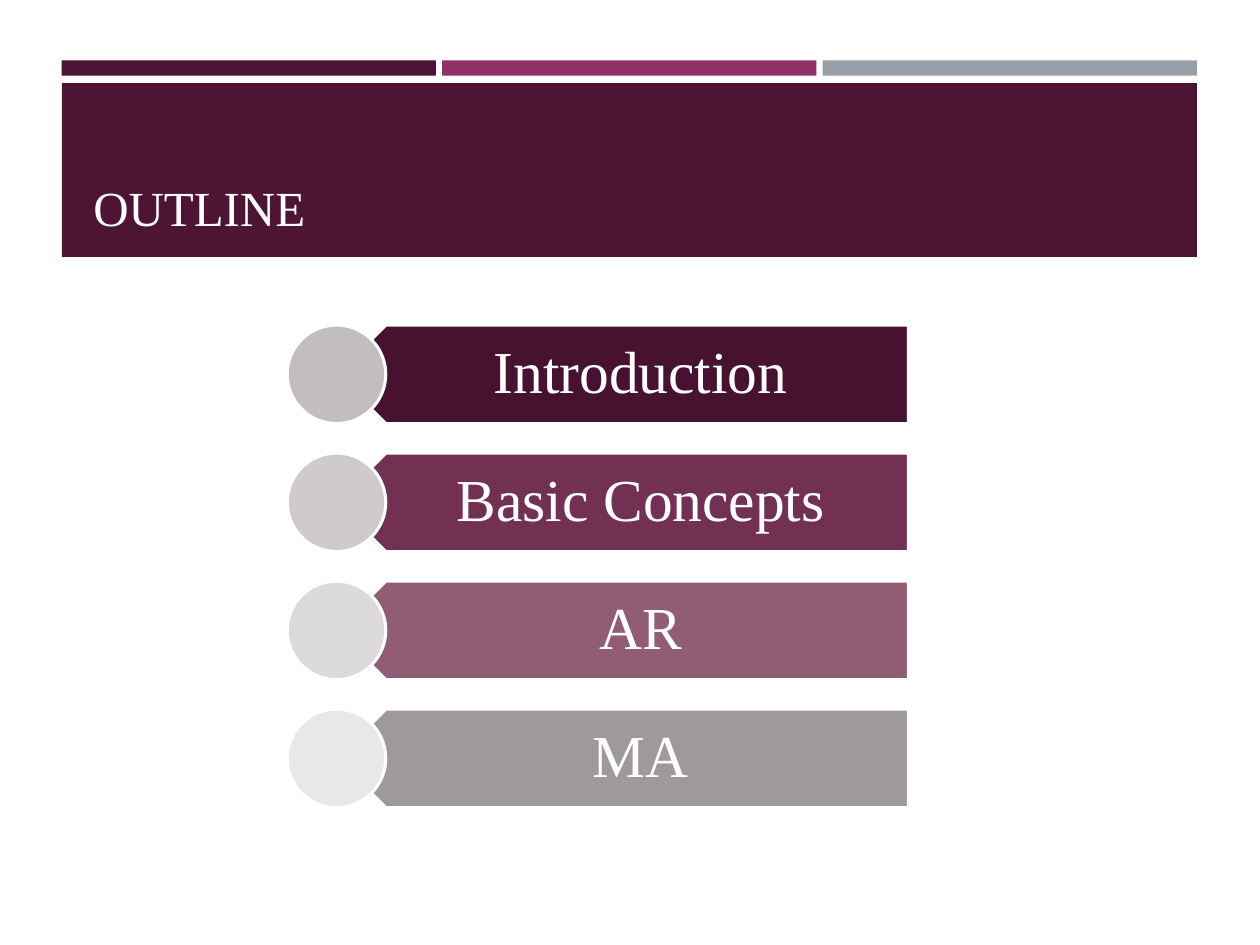
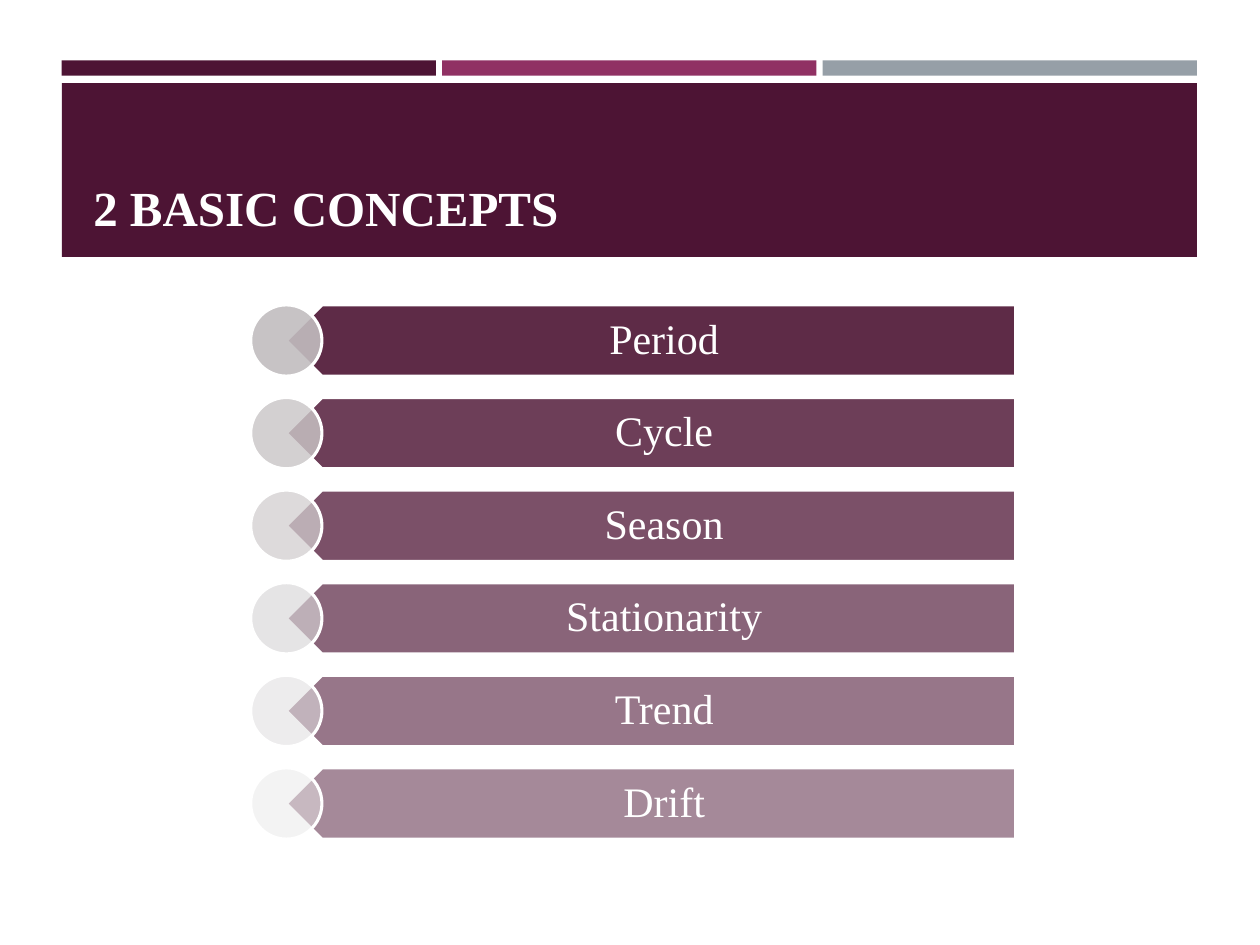
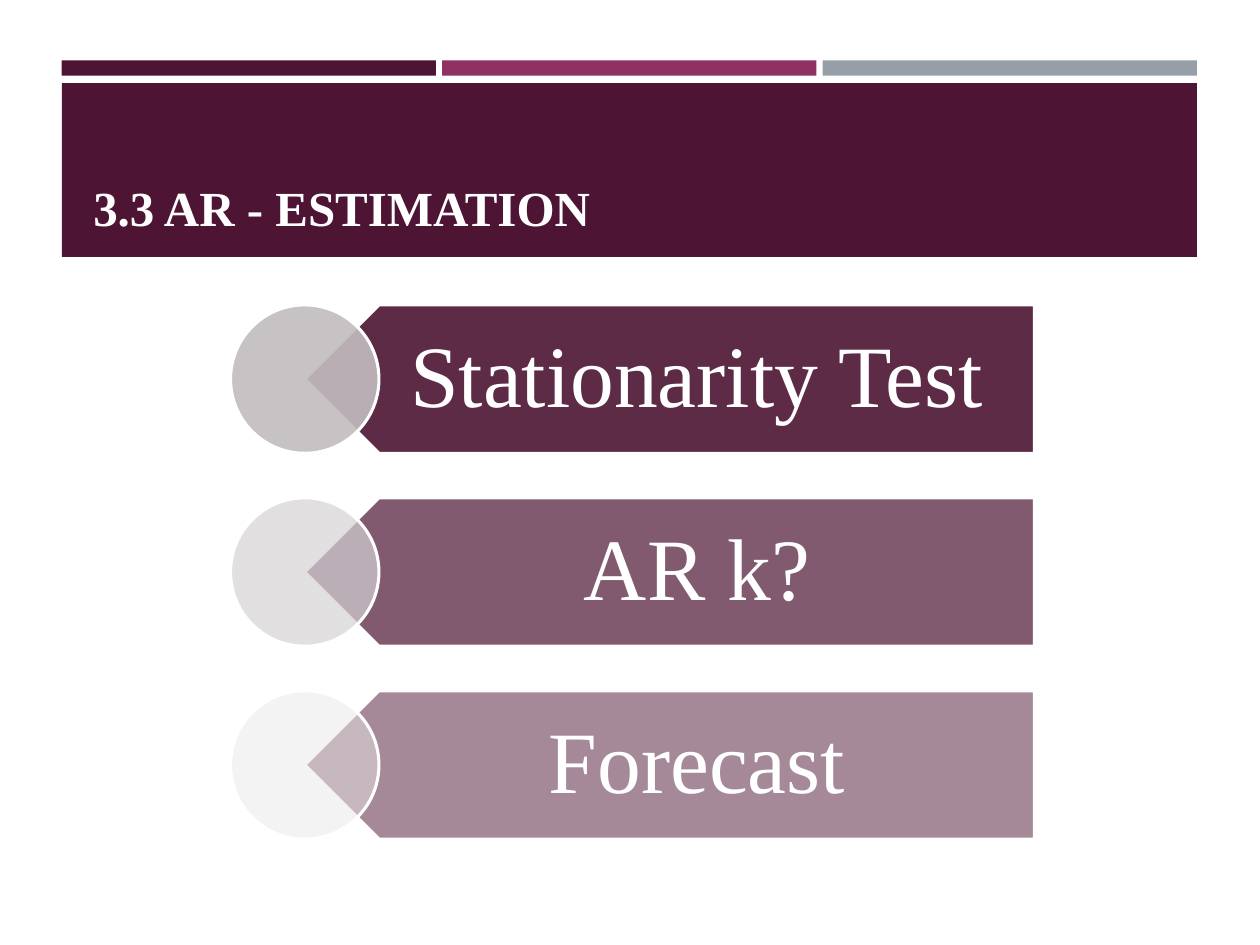
import pptx
import pptx.dml.color
import pptx.enum.shapes
import pptx.enum.text
import pptx.oxml.ns
import pptx.util
from lxml import etree

Inches = pptx.util.Inches
Pt = pptx.util.Pt
Shape = pptx.enum.shapes.MSO_SHAPE
Align = pptx.enum.text.PP_ALIGN
Anchor = pptx.enum.text.MSO_ANCHOR

FONT = "Times New Roman"
COLORS = {
    "plum": "4D1434", "berry": "903163", "slate": "969FA7", "white": "FFFFFF",
    "dark": "46122F", "wine": "723152", "rose": "915D75", "ash": "9F999C",
    "dot_first": "C2BDBF", "dot_last": "E9E8E8",
}
PITCH = 1.3  # row step as a multiple of row height

# title, bold, box, text size, rows, bar colours, first and last opacity
SLIDES = [
    ("OUTLINE", False, (2.28, 2.58, 4.93, 3.83), 34,
     ["Introduction", "Basic Concepts", "AR", "MA"],
     ["dark", "wine", "rose", "ash"], (100, 100)),
    ("2 BASIC CONCEPTS", True, (1.99, 2.42, 6.07, 4.24), 24,
     ["Period", "Cycle", "Season", "Stationarity", "Trend", "Drift"],
     ["plum"] * 6, (90, 50)),
    ("3.3 AR - ESTIMATION", True, (1.83, 2.42, 6.38, 4.24), 50,
     ["Stationarity Test", "AR k?", "Forecast"],
     ["plum"] * 3, (90, 50)),
]


def rgb(code):
    return pptx.dml.color.RGBColor.from_string(code)


def blend(first, last, part):
    """Return the hex colour that lies the given part of the way between two."""
    pairs = [(int(first[i:i + 2], 16), int(last[i:i + 2], 16)) for i in (0, 2, 4)]
    return "".join(f"{round(a + (b - a) * part):02X}" for a, b in pairs)


def add_solid(shapes, kind, box, code, alpha=100, outline=False):
    shape = shapes.add_shape(kind, *map(Inches, box))
    shape.shadow.inherit = False
    shape.fill.solid()
    shape.fill.fore_color.rgb = rgb(code)
    if alpha < 100:
        tag = pptx.oxml.ns.qn("a:srgbClr")
        color = next(shape.fill._xPr.iter(tag))
        etree.SubElement(color, pptx.oxml.ns.qn("a:alpha"), val=str(round(alpha * 1000)))
    if outline:
        shape.line.color.rgb = rgb(COLORS["white"])
        shape.line.width = Pt(1.75)
    else:
        shape.line.fill.background()
    return shape


def style_text(frame, size, align, bold=False):
    para = frame.paragraphs[0]
    para.alignment = align
    para.line_spacing = 0.9
    para.font.name = FONT
    para.font.size = Pt(size)
    para.font.bold = bold
    para.font.color.rgb = rgb(COLORS["white"])


def add_bands(slide, layout, left=0.49, top=0.48):
    """Draw the header bands, then move them to the back of the shared layout."""
    bands = [add_solid(slide.shapes, Shape.RECTANGLE,
                       (left + i * 3.02, top, 2.97, 0.12), COLORS[name])
             for i, name in enumerate(["plum", "berry", "slate"])]
    bands.append(add_solid(slide.shapes, Shape.RECTANGLE,
                           (left, top + 0.18, 9.01, 1.38), COLORS["plum"]))
    for band in bands:
        layout.shapes._spTree.insert(2, band._element)


def set_title(slide, text, bold):
    title = slide.shapes.title
    title.left, title.top, title.width, title.height = map(Inches, (0.64, 0.75, 8.74, 1.18))
    frame = title.text_frame
    frame.text = text
    frame.vertical_anchor = Anchor.BOTTOM
    style_text(frame, 28, Align.LEFT, bold)


def add_label(shapes, box, text, size):
    label = shapes.add_textbox(*map(Inches, box))
    frame = label.text_frame
    frame.word_wrap = True
    frame.vertical_anchor = Anchor.MIDDLE
    height = box[3]
    frame.margin_left = Inches(0.45 * height)
    frame.margin_right = Inches(0.33 * height)
    frame.margin_top = frame.margin_bottom = Inches(0.18 * height)
    frame.text = text
    style_text(frame, size, Align.CENTER)


def add_list(slide, box, size, rows, bars, alphas):
    """Fill the box with rows, each an arrow bar with a dot over its tip."""
    left, top, width, height = box
    last = len(rows) - 1
    side = height / (1 + PITCH * last)
    shapes = slide.shapes.add_group_shape().shapes
    for i, (text, bar) in enumerate(zip(rows, bars)):
        part = i / last
        y = top + i * PITCH * side
        alpha = alphas[0] + (alphas[1] - alphas[0]) * part
        arrow = add_solid(shapes, Shape.PENTAGON,
                          (left + side / 2, y, width - side / 2, side),
                          COLORS[bar], alpha, True)
        arrow.rotation = 180
        add_label(shapes, (left + side * 0.75, y, width - side * 0.75, side), text, size)
        dot = blend(COLORS["dot_first"], COLORS["dot_last"], part)
        add_solid(shapes, Shape.OVAL, (left, y, side, side), dot, alpha, True)


def main():
    deck = pptx.Presentation()
    deck.slide_width, deck.slide_height = Inches(10), Inches(7.5)
    layout = deck.slide_layouts[5]
    for title, bold, *content in SLIDES:
        slide = deck.slides.add_slide(layout)
        set_title(slide, title, bold)
        add_list(slide, *content)
    add_bands(deck.slides[0], layout)
    deck.save("out.pptx")


if __name__ == "__main__":
    main()
